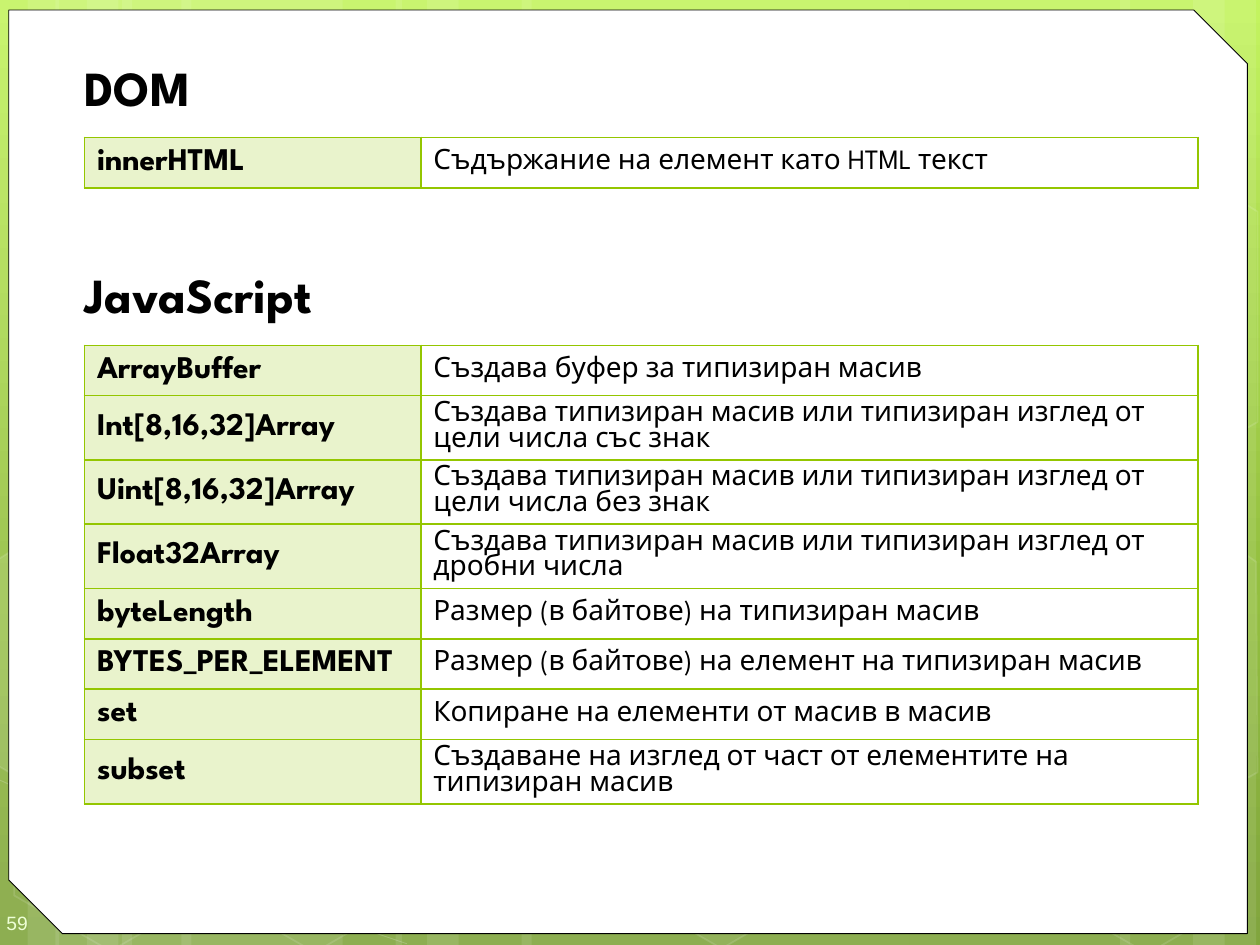
from copy import deepcopy

from lxml.etree import SubElement
from pptx import Presentation
from pptx.dml.color import RGBColor
from pptx.enum.shapes import MSO_SHAPE as SHAPE
from pptx.enum.text import MSO_ANCHOR as ANCHOR
from pptx.oxml.ns import qn
from pptx.util import Inches, Pt

GREEN, WHITE, BLACK = "94C600", "FFFFFF", "000000"
FONT = "League Spartan"


def paint(fill, color, alpha=100):
    """Make a fill solid, with alpha as percent opacity."""
    fill.solid()
    fill.fore_color.rgb = RGBColor.from_string(color)
    if alpha < 100:
        rgb = fill._xPr.find(qn("a:solidFill"))[0]
        SubElement(rgb, qn("a:alpha"), val=str(alpha * 1000))


def style_shape(s, fill_alpha, line_alpha=0, width=1):
    """White fill and line; an alpha of 0 leaves that part out."""
    s.shadow.inherit = False
    for fill, alpha in ((s.fill, fill_alpha), (s.line.fill, line_alpha)):
        if alpha:
            paint(fill, WHITE, alpha)
        else:
            fill.background()
    if line_alpha:
        s.line.width = Pt(width)


prs = Presentation()
prs.slide_width, prs.slide_height = Inches(10), Inches(7.5)
slide = prs.slides.add_slide(prs.slide_layouts[1])
shapes = slide.shapes
title = shapes.title.element
title.getparent().remove(title)
body = slide.placeholders[1]

# Background gradient, top to bottom
bg = slide.background.fill
bg.gradient()
bg.gradient_angle = 270
first, last = bg.gradient_stops
first.color.rgb = RGBColor.from_string("C3F35F")
last.color.rgb = RGBColor.from_string("81A53E")
stops = slide.element.find(".//" + qn("a:gsLst"))
middle = deepcopy(stops[0])
middle.set("pos", "62000")
middle[0].set("val", "93BF3F")
stops.insert(1, middle)

# Vertical light stripes: left, width
stripes = [(0.97, 1.75), (-0.03, 0.5), (0.22, 0.83), (1.44, 1.75), (0.44, 0.5),
           (0.69, 0.83), (7.22, 1.75), (9.47, 0.5), (8.89, 0.83), (4.14, 3.08),
           (3.14, 0.5), (3.39, 0.83)]
for left, width in stripes:
    s = shapes.add_shape(SHAPE.RECTANGLE, Inches(left), 0, Inches(width), Inches(7.5))
    style_shape(s, 10)

# Hexagons that reach past the panel: left, top, fill opacity
for left, top, alpha in [(4.85, 5.89, 6), (0, 5.91, 0), (1.62, 5.92, 0), (8.23, 5.93, 0)]:
    s = shapes.add_shape(SHAPE.HEXAGON, Inches(left), Inches(top), Inches(1.75), Inches(1.52))
    s.adjustments[0] = 0.285
    s.rotation = 30
    style_shape(s, alpha, 12)

# Cut hexagons at the slide edges and a thin curve: points, closed, fill, line, width
outlines = [
    ([(-0.03, 4.45), (0.08, 4.38), (0.85, 4.82), (0.84, 5.7), (0.09, 6.14), (-0.03, 6.07)],
     True, 10, 12, 1),
    ([(9.15, 4.85), (9.9, 4.41), (9.97, 4.46), (9.98, 6.13), (9.91, 6.17), (9.14, 5.73)],
     True, 4, 12, 1),
    ([(9.15, 2.07), (9.9, 1.63), (9.98, 1.68), (9.98, 3.35), (9.91, 3.39), (9.14, 2.95)],
     True, 0, 12, 1),
    ([(-0.05, 6.17), (0.85, 6.57), (1.75, 6.95), (2.55, 7.26), (3.23, 7.49)],
     False, 0, 20, 0.5),
]
for points, closed, fill_alpha, line_alpha, width in outlines:
    points = [(Inches(x), Inches(y)) for x, y in points]
    builder = shapes.build_freeform(*points[0])
    builder.add_line_segments(points[1:], close=closed)
    style_shape(builder.convert_to_shape(), fill_alpha, line_alpha, width)

# White panel
panel = shapes.add_shape(SHAPE.SNIP_2_DIAG_RECTANGLE, Inches(0.07), Inches(0.08),
                         Inches(9.83), Inches(7.33))
panel.adjustments[0], panel.adjustments[1] = 0, 0.058
style_shape(panel, 100, 100, 0.5)
paint(panel.line.fill, BLACK)

# Slide number
number = shapes.add_textbox(0, Inches(7.1), Inches(0.58), Inches(0.4))
tf = number.text_frame
tf.word_wrap = True
tf.vertical_anchor = ANCHOR.MIDDLE
tf.margin_left, tf.margin_top = Inches(0.05), Inches(0.15)
tf.margin_right, tf.margin_bottom = 0, Inches(0.1)
tf.text = "59"
font = tf.paragraphs[0].runs[0].font
font.name, font.size = "Arial", Pt(11)
paint(font.fill, "EEFFD6")

# Section headings, moved in front of the panel
shapes._spTree.append(body.element)
body.left, body.top = Inches(0.5), Inches(0.41)
body.width, body.height = Inches(9.42), Inches(7.01)
tf = body.text_frame
tf.text = "DOM\nJavaScript"
for p, gap in zip(tf.paragraphs, (0, 84.5)):
    pPr = p._p.get_or_add_pPr()
    pPr.set("marL", str(Inches(0.07)))
    pPr.set("indent", "0")
    SubElement(pPr, qn("a:buNone"))
    p.space_before = Pt(gap)
    font = p.runs[0].font
    font.name, font.size, font.bold = FONT, Pt(28), True
    paint(font.fill, BLACK)

# Reference tables: name, description, number of lines
dom_rows = [("innerHTML", "Съдържание на елемент като HTML текст", 1)]
js_rows = [
    ("ArrayBuffer", "Създава буфер за типизиран масив", 1),
    ("Int[8,16,32]Array",
     "Създава типизиран масив или типизиран изглед от цели числа със знак", 2),
    ("Uint[8,16,32]Array",
     "Създава типизиран масив или типизиран изглед от цели числа без знак", 2),
    ("Float32Array", "Създава типизиран масив или типизиран изглед от дробни числа", 2),
    ("byteLength", "Размер (в байтове) на типизиран масив", 1),
    ("BYTES_PER_ELEMENT", "Размер (в байтове) на елемент на типизиран масив", 1),
    ("set", "Копиране на елементи от масив в масив", 1),
    ("subset", "Създаване на изглед от част от елементите на типизиран масив", 2),
]
ROW_HEIGHT = {1: Inches(0.4), 2: Inches(0.51)}
for top, rows in ((1.09, dom_rows), (2.74, js_rows)):
    height = sum(ROW_HEIGHT[lines] for _, _, lines in rows)
    table = shapes.add_table(len(rows), 2, Inches(0.67), Inches(top),
                             Inches(8.84), height).table
    table.first_row = table.horz_banding = False
    table.columns[0].width, table.columns[1].width = Inches(2.67), Inches(6.17)
    for i, (name, description, lines) in enumerate(rows):
        table.rows[i].height = ROW_HEIGHT[lines]
        for j, text in enumerate((name, description)):
            cell = table.cell(i, j)
            cell.text = text
            cell.vertical_anchor = ANCHOR.MIDDLE
            font = cell.text_frame.paragraphs[0].runs[0].font
            font.name, font.size, font.bold = FONT, Pt(16 if j else 18), j == 0
            paint(font.fill, BLACK)
            tcPr = cell._tc.get_or_add_tcPr()
            for side in ("lnL", "lnR", "lnT", "lnB"):
                ln = SubElement(tcPr, qn("a:" + side), w=str(Pt(1)))
                SubElement(SubElement(ln, qn("a:solidFill")), qn("a:srgbClr"), val=GREEN)
            if j == 0:
                paint(cell.fill, GREEN, 20)
            else:
                cell.fill.background()

prs.save("out.pptx")
